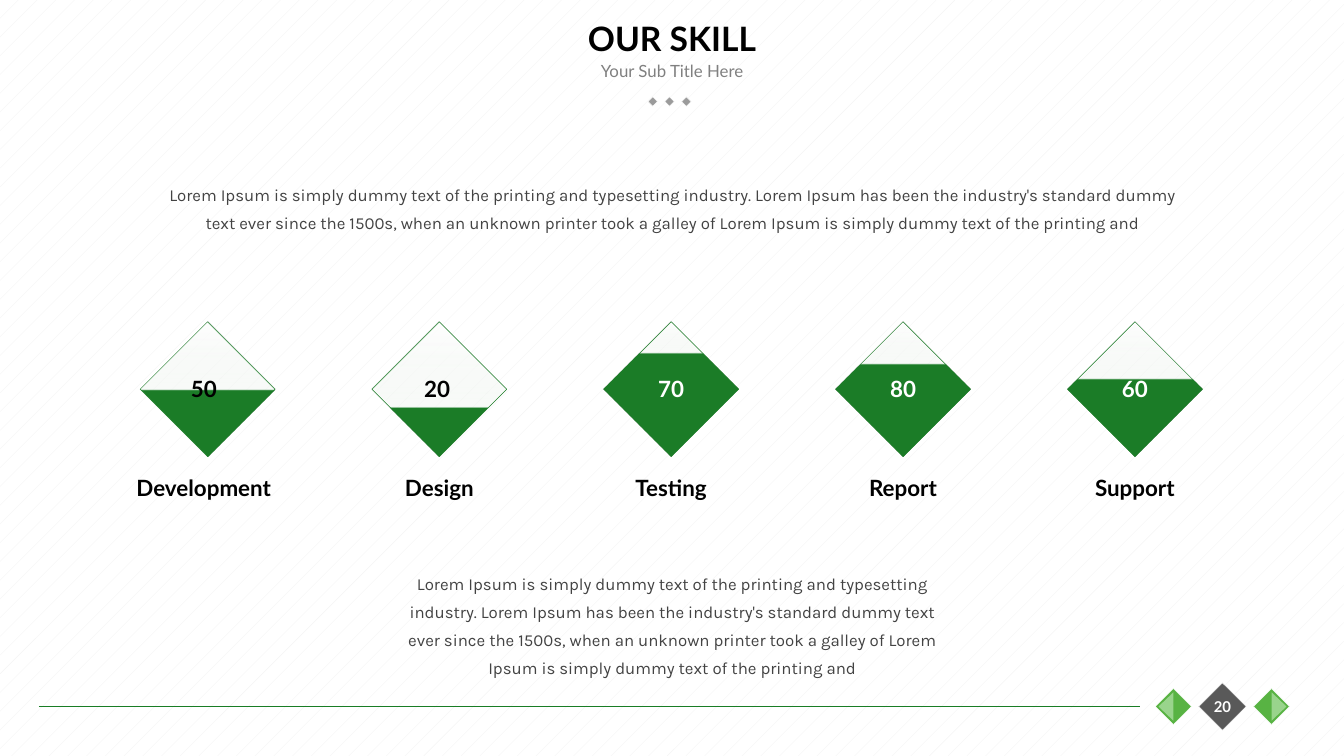
from lxml.etree import SubElement
from pptx import Presentation
from pptx.dml.color import RGBColor
from pptx.enum.dml import MSO_PATTERN
from pptx.enum.shapes import MSO_CONNECTOR, MSO_SHAPE
from pptx.enum.text import MSO_ANCHOR, MSO_AUTO_SIZE, PP_ALIGN
from pptx.oxml import parse_xml
from pptx.oxml.ns import nsdecls, qn
from pptx.util import Pt

BLACK = RGBColor(0x00, 0x00, 0x00)
WHITE = RGBColor(0xFF, 0xFF, 0xFF)
PALE = RGBColor(0xF2, 0xF2, 0xF2)
TEXT = RGBColor(0x43, 0x43, 0x43)
SLATE = RGBColor(0x59, 0x59, 0x59)
GRAY = RGBColor(0x80, 0x80, 0x80)
DOT = RGBColor(0x9B, 0x9B, 0x9B)
RULE = RGBColor(0x19, 0x7D, 0x25)
GREEN = RGBColor(0x1C, 0x7D, 0x28)
LEAF = RGBColor(0x58, 0xB3, 0x43)
MINT = RGBColor(0x99, 0xD4, 0x8C)
MIST = RGBColor(0xF0, 0xF5, 0xF0)

LOREM = (
    "Lorem Ipsum is simply dummy text of the printing and typesetting industry. "
    "Lorem Ipsum has been the industry's standard dummy text ever since the 1500s, "
    "when an unknown printer took a galley of Lorem Ipsum is simply dummy text "
    "of the printing and"
)

# Label, value, fill level, number colour, label width, label shift, number shift
SKILLS = [
    ("Development", "50", 49, BLACK, 100, -2, -2),
    ("Design", "20", 36, BLACK, 79.2, 0, -1.2),
    ("Testing", "70", 76, WHITE, 79.2, 0, 0),
    ("Report", "80", 68, WHITE, 79.2, 0, 0),
    ("Support", "60", 57, WHITE, 79.2, 0, 0),
]


class Deck:
    head = "Lato"
    body = "Karla"

    def __init__(self, slide):
        self.slide = slide

    def text(self, words, mid, top, wide, high, size, color,
             font=head, bold=False, grow=True, lead=None):
        """Centred text box, placed by its horizontal middle."""
        box = self.slide.shapes.add_textbox(
            Pt(mid - wide / 2), Pt(top), Pt(wide), Pt(high))
        frame = box.text_frame
        frame.text = words
        frame.word_wrap = True
        if grow:
            frame.auto_size = MSO_AUTO_SIZE.SHAPE_TO_FIT_TEXT
        else:
            frame.vertical_anchor = MSO_ANCHOR.MIDDLE
        para = frame.paragraphs[0]
        para.alignment = PP_ALIGN.CENTER
        if lead:
            para.line_spacing = Pt(lead)
        run = para.runs[0].font
        run.name, run.size, run.bold = font, Pt(size), bold
        run.color.rgb = color

    def shape(self, kind, x, y, wide, high, turn, fill=None, line=None):
        """Turned shape, placed by its centre."""
        item = self.slide.shapes.add_shape(
            kind, Pt(x - wide / 2), Pt(y - high / 2), Pt(wide), Pt(high))
        item.rotation = turn
        item.shadow.inherit = False
        if fill is not None:
            item.fill.solid()
            item.fill.fore_color.rgb = fill
        if line is None:
            item.line.fill.background()
        else:
            item.line.color.rgb = line
            item.line.width = Pt(0.25)
        return item

    def gem(self, x, y, side, fill):
        self.shape(MSO_SHAPE.RECTANGLE, x, y, side, side, 315, fill, WHITE)

    def gauge(self, x, y, side, level):
        """Diamond filled from its lower tip by a hard-edged gradient."""
        item = self.shape(MSO_SHAPE.RECTANGLE, x, y, side, side, 225, line=GREEN)
        stops = [(0, GREEN, 100), (level, GREEN, 100),
                 (level + 1, MIST, 41), (100, WHITE, 100)]
        marks = "".join(
            f'<a:gs pos="{pos * 1000}"><a:srgbClr val="{color}">'
            f'<a:alpha val="{alpha * 1000}"/></a:srgbClr></a:gs>'
            for pos, color, alpha in stops)
        grad = parse_xml(
            f'<a:gradFill {nsdecls("a")} rotWithShape="1"><a:gsLst>{marks}</a:gsLst>'
            '<a:lin ang="2700000" scaled="0"/></a:gradFill>')
        item._element.spPr.find(qn("a:prstGeom")).addnext(grad)

    def rule(self, left, right, y):
        line = self.slide.shapes.add_connector(
            MSO_CONNECTOR.STRAIGHT, Pt(left), Pt(y), Pt(right), Pt(y))
        line.line.color.rgb = RULE
        line.line.width = Pt(0.75)
        SubElement(line._element.spPr, qn("a:effectLst"))


def main():
    prs = Presentation()
    prs.slide_width, prs.slide_height = Pt(720), Pt(405)
    slide = prs.slides.add_slide(prs.slide_layouts[6])
    deck = Deck(slide)

    # Background
    back = slide.background.fill
    back.patterned()
    back.pattern = MSO_PATTERN.PERCENT_5
    back.fore_color.rgb = PALE
    back.back_color.rgb = WHITE

    # Heading
    deck.text("OUR SKILL", 360, 0, 612, 40.3, 18, BLACK, bold=True, grow=False)
    deck.text("Your Sub Title Here", 360, 28.8, 180, 18, 9, GRAY, grow=False)
    for i in range(3):
        deck.gem(349.7 + 9 * i, 54.4, 3.6, DOT)

    # Footer with page number and arrows
    mid, base = 654.9, 378.5
    deck.rule(20.9, 610.6, base)
    deck.gem(mid, base, 18, SLATE)
    for side, turn in ((1, 90), (-1, 270)):
        x = mid + 26.3 * side
        deck.gem(x, base, 13.7, LEAF)
        deck.shape(MSO_SHAPE.FLOWCHART_EXTRACT, x + 4 * side, base,
                   15.1, 7.9, turn, MINT)
    deck.text("20", mid, base - 9, 30.2, 18, 8, WHITE, bold=True, grow=False)

    # Paragraphs above and below the skills
    for top, wide, high in ((91.4, 570.2, 37.4), (299.5, 310.3, 67.7)):
        deck.text(LOREM, 360, top, wide, high, 9, TEXT, Deck.body, lead=15)

    # Skills
    for i, (name, value, level, color, wide, shift, nudge) in enumerate(SKILLS):
        x = 111.2 + 124.2 * i
        deck.gauge(x, 208.5, 51.1, level)
        deck.text(value, x + nudge, 197.3, 79.2, 21.6, 12, color, bold=True)
        deck.text(name, x + shift, 250.6, wide, 21.6, 12, BLACK, bold=True)

    prs.save("out.pptx")


if __name__ == "__main__":
    main()
